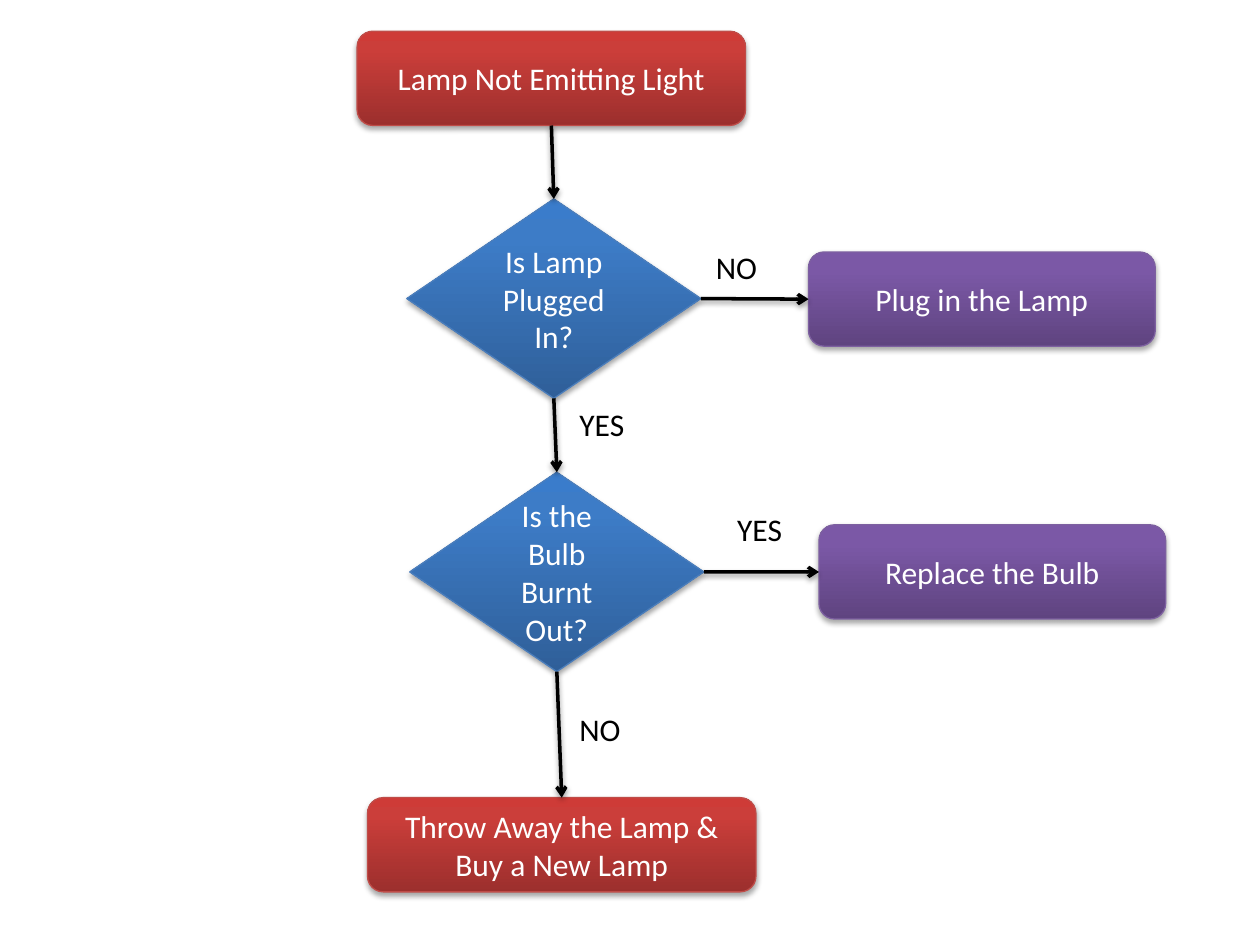
from copy import deepcopy
from dataclasses import dataclass

from lxml import etree
from pptx import Presentation
from pptx import util as u
from pptx.dml.color import RGBColor
from pptx.enum import shapes, text
from pptx.oxml.ns import qn

TOP, BOTTOM, RIGHT, LEFT = 0, 2, 3, 1


@dataclass(frozen=True)
class Theme:
    font: str = "Calibri"
    size: int = 18
    light: str = "FFFFFF"
    dark: str = "000000"
    terminal: tuple = ("9C2F2D", "CB3E3A", "CE3B37", "BF4C48")
    decision: tuple = ("2F5F99", "3D7CC7", "3A7CCB", "4B7EBC")
    action: tuple = ("5F4480", "7B58A6", "7C57A8", "7D60A0")
    outline: float = 0.75
    arrow: float = 2


THEME = Theme()


def write(tf, content, color=THEME.dark, align=text.PP_ALIGN.LEFT,
          anchor=text.MSO_ANCHOR.TOP):
    tf.word_wrap = True
    tf.vertical_anchor = anchor
    p = tf.paragraphs[0]
    p.alignment = align
    r = p.add_run()
    r.text = content
    r.font.name = THEME.font
    r.font.size = u.Pt(THEME.size)
    r.font.color.rgb = RGBColor.from_string(color)


def add_shadow(sp_pr, alpha, distance):
    effects = sp_pr.find(qn("a:effectLst"))
    if effects is None:
        effects = etree.SubElement(sp_pr, qn("a:effectLst"))
    shadow = etree.SubElement(effects, qn("a:outerShdw"), blurRad=str(u.Pt(3.15)),
                              dist=str(u.Pt(distance)), dir="5400000", rotWithShape="0")
    color = etree.SubElement(shadow, qn("a:srgbClr"), val=THEME.dark)
    etree.SubElement(color, qn("a:alpha"), val=str(alpha * 1000))


def fill_gradient(sp, colors):
    sp.fill.gradient()
    sp.fill.gradient_angle = 90
    first = sp._element.spPr.find(".//" + qn("a:gs"))
    first.addnext(deepcopy(first))
    for stop, position, color in zip(sp.fill.gradient_stops, (0, 0.8, 1), colors):
        stop.position = position
        stop.color.rgb = RGBColor.from_string(color)


def add_step(s, kind, box, content, palette):
    sp = s.shapes.add_shape(kind, *map(u.Cm, box))
    *gradient, outline = palette
    fill_gradient(sp, gradient)
    sp.line.color.rgb = RGBColor.from_string(outline)
    sp.line.width = u.Pt(THEME.outline)
    sp.shadow.inherit = False
    add_shadow(sp._element.spPr, 35, 1.8)
    write(sp.text_frame, content, color=THEME.light, align=text.PP_ALIGN.CENTER,
          anchor=text.MSO_ANCHOR.MIDDLE)
    return sp


def add_arrow(s, start, start_site, end, end_site):
    line = s.shapes.add_connector(shapes.MSO_CONNECTOR.STRAIGHT, 0, 0, 0, 0)
    line.begin_connect(start, start_site)
    line.end_connect(end, end_site)
    line.line.color.rgb = RGBColor.from_string(THEME.dark)
    line.line.width = u.Pt(THEME.arrow)
    sp_pr = line._element.spPr
    etree.SubElement(sp_pr.find(qn("a:ln")), qn("a:tailEnd"), type="arrow")
    add_shadow(sp_pr, 38, 1.6)


def add_label(s, left, top, width, content):
    tf = s.shapes.add_textbox(*map(u.Cm, (left, top, width, 1.07))).text_frame
    tf.auto_size = text.MSO_AUTO_SIZE.SHAPE_TO_FIT_TEXT
    write(tf, content)


def main_column(s, box):
    left, top, width, height = box
    process = shapes.MSO_SHAPE.FLOWCHART_ALTERNATE_PROCESS
    decision = shapes.MSO_SHAPE.FLOWCHART_DECISION
    steps = [
        add_step(s, kind, (left + dx, top + dy, w, h), content, palette)
        for kind, dx, dy, w, h, content, palette in (
            (process, 0, 0, 7.83, 1.9, "Lamp Not Emitting Light", THEME.terminal),
            (decision, 1, 3.38, 5.93, 4.02, "Is Lamp Plugged In?", THEME.decision),
            (decision, 1.06, 8.89, 5.93, 4.02, "Is the Bulb Burnt Out?", THEME.decision),
            (process, width - 7.83, height - 1.9, 7.83, 1.9,
             "Throw Away the Lamp & Buy a New Lamp", THEME.terminal),
        )
    ]
    for start, end in zip(steps, steps[1:]):
        add_arrow(s, start, BOTTOM, end, TOP)
    add_label(s, left + 4.23, top + 7.41, 1.48, "YES")
    add_label(s, left + 4.23, top + 13.55, 1.7, "NO")
    return steps[1:3]


def remedy_branch(s, box, question, content, answer, label_box):
    left, top, width, height = box
    dx, dy, label_width = label_box
    sp = add_step(s, shapes.MSO_SHAPE.FLOWCHART_ALTERNATE_PROCESS, box, content,
                  THEME.action)
    add_arrow(s, question, RIGHT, sp, LEFT)
    add_label(s, left + dx, top + dy, label_width, answer)


def main():
    prs = Presentation()
    prs.slide_width, prs.slide_height = u.Cm(25.4), u.Cm(19.05)
    s = prs.slides.add_slide(prs.slide_layouts[6])
    plugged, burnt = main_column(s, (7.2, 0.63, 8.04, 17.35))
    remedy_branch(s, (16.3, 5.08, 6.99, 1.9), plugged, "Plug in the Lamp", "NO",
                  (-2.12, -0.21, 1.7))
    remedy_branch(s, (16.51, 10.58, 6.99, 1.9), burnt, "Replace the Bulb", "YES",
                  (-1.9, -0.42, 1.48))
    prs.save("out.pptx")


if __name__ == "__main__":
    main()
